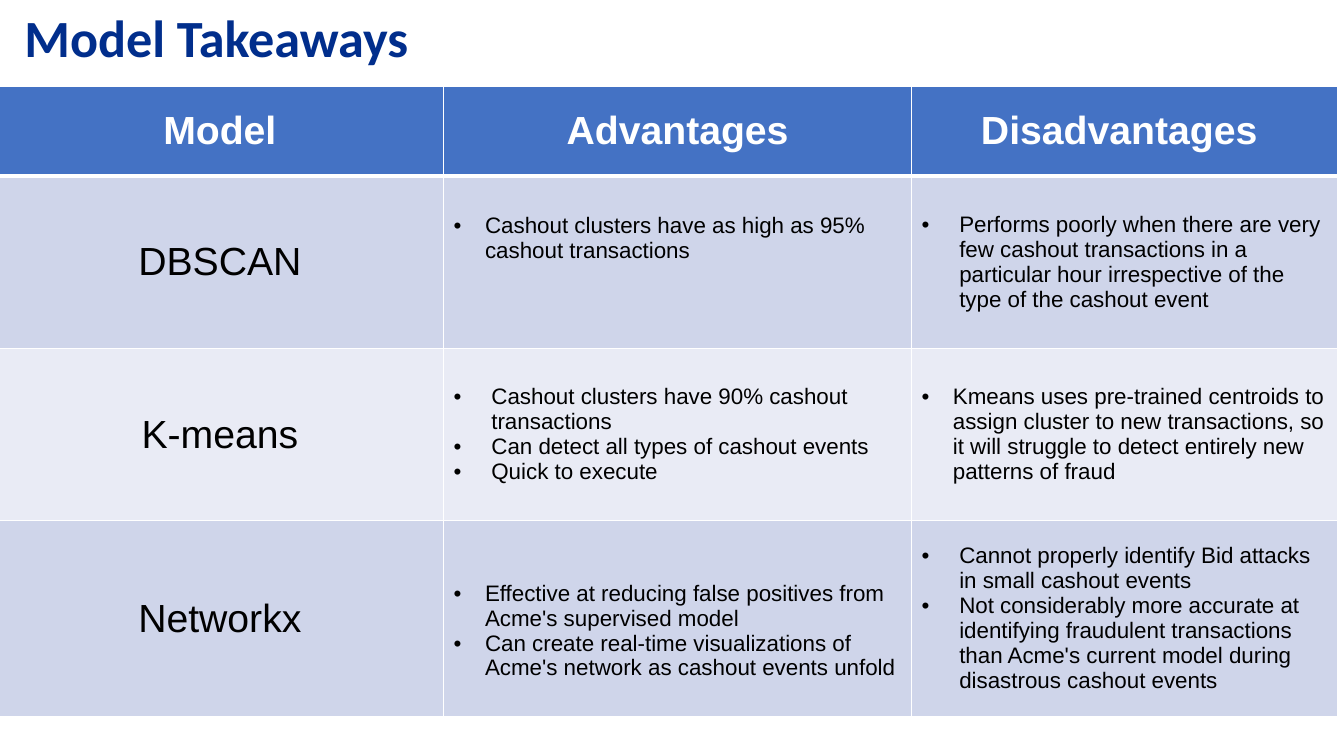
from dataclasses import dataclass

import pptx
import pptx.dml.color
import pptx.enum.text
import pptx.oxml
import pptx.oxml.ns
import pptx.util
from pptx.util import Cm

ALIGN = pptx.enum.text.PP_ALIGN
ANCHOR = pptx.enum.text.MSO_ANCHOR


@dataclass(frozen=True)
class Theme:
    title_font: str = "Calibri"
    body_font: str = "Arial"
    title_color: str = "012E8C"
    header_fill: str = "4472C4"
    row_fills: tuple = ("CFD5EA", "E9EBF5")
    white: str = "FFFFFF"
    text_color: str = "000000"
    title_size: float = 37.3
    heading_size: float = 28
    bullet_size: float = 16


@dataclass
class Points:
    """Bulleted cell content; margins shift it from the vertical middle."""
    lines: list
    indent: float
    top: float = 0.13
    bottom: float = 0.13


HEADINGS = ["Model", "Advantages", "Disadvantages "]
NARROW, WIDE = 0.79, 0.95
MODELS = [
    ("DBSCAN",
     Points(["Cashout clusters have as high as 95% cashout transactions"],
            NARROW, bottom=1.34),
     Points(["Performs poorly when there are very few cashout transactions in a "
             "particular hour irrespective of the type of the cashout event"], WIDE)),
    ("K-means",
     Points(["Cashout clusters have 90% cashout transactions",
             "Can detect all types of cashout events",
             "Quick to execute"], WIDE),
     Points(["Kmeans uses pre-trained centroids to assign cluster to new "
             "transactions, so it will struggle to detect entirely new patterns "
             "of fraud"], NARROW)),
    ("Networkx",
     Points(["Effective at reducing false positives from Acme's supervised model",
             "Can create real-time visualizations of Acme's network as cashout "
             "events unfold"], NARROW, top=0.76),
     Points(["Cannot properly identify Bid attacks in small cashout events",
             "Not considerably more accurate at identifying fraudulent "
             "transactions than Acme's current model during disastrous cashout "
             "events"], WIDE)),
]
COLUMN_WIDTHS = [11.28, 11.79, 10.74]
ROW_HEIGHTS = [2.26, 4.34, 4.34, 4.93]


def rgb(color):
    return pptx.dml.color.RGBColor.from_string(color)


def write(paragraph, text, *, font, size, color, bold=False, align=ALIGN.LEFT):
    paragraph.alignment = align
    run = paragraph.add_run()
    run.text = text
    run.font.name = font
    run.font.size = pptx.util.Pt(size)
    run.font.bold = bold
    run.font.color.rgb = rgb(color)


def add_bullet(paragraph, indent, color):
    properties = paragraph._p.get_or_add_pPr()
    properties.set("marL", str(Cm(indent)))
    properties.set("indent", str(-Cm(indent)))
    ns = pptx.oxml.ns.nsdecls("a")
    for xml in (f'<a:buClr {ns}><a:srgbClr val="{color}"/></a:buClr>',
                f'<a:buFont {ns} typeface="Arial"/>',
                f'<a:buChar {ns} char="•"/>'):
        properties.append(pptx.oxml.parse_xml(xml))


def add_borders(cell, color, **widths):
    """Draw cell edges; widths are points keyed L, R, T, B in that order."""
    properties = cell._tc.get_or_add_tcPr()
    for side, width in widths.items():
        properties.append(pptx.oxml.parse_xml(
            f'<a:ln{side} {pptx.oxml.ns.nsdecls("a")} w="{pptx.util.Pt(width)}">'
            f'<a:solidFill><a:srgbClr val="{color}"/></a:solidFill></a:ln{side}>'))


class SlideBuilder:
    def __init__(self, presentation, theme):
        self.theme = theme
        self.slide = presentation.slides.add_slide(presentation.slide_layouts[5])

    def title(self, text, left, top, width, height):
        heading = self.slide.shapes.title
        heading.left, heading.top = Cm(left), Cm(top)
        heading.width, heading.height = Cm(width), Cm(height)
        frame = heading.text_frame
        frame.word_wrap = True
        frame.auto_size = pptx.enum.text.MSO_AUTO_SIZE.SHAPE_TO_FIT_TEXT
        frame.vertical_anchor = ANCHOR.TOP
        write(frame.paragraphs[0], text, font=self.theme.title_font,
              size=self.theme.title_size, color=self.theme.title_color, bold=True)

    def table(self, headings, rows, left, top, widths, heights):
        grid = self.slide.shapes.add_table(
            len(heights), len(widths), Cm(left), Cm(top),
            Cm(sum(widths)), Cm(sum(heights))).table
        for column, width in zip(grid.columns, widths):
            column.width = Cm(width)
        for row, height in zip(grid.rows, heights):
            row.height = Cm(height)
        for row_index, contents in enumerate([headings, *rows]):
            for column_index, content in enumerate(contents):
                self.cell(grid.cell(row_index, column_index), content, row_index)

    def cell(self, cell, content, row_index):
        theme = self.theme
        is_header = row_index == 0
        add_borders(cell, theme.white, L=1, R=1, T=3 if row_index == 1 else 1,
                    B=3 if is_header else 1)
        cell.fill.solid()
        cell.fill.fore_color.rgb = rgb(
            theme.header_fill if is_header else theme.row_fills[(row_index - 1) % 2])
        cell.vertical_anchor = ANCHOR.MIDDLE
        if isinstance(content, Points):
            self.points(cell, content)
        else:
            write(cell.text_frame.paragraphs[0], content, font=theme.body_font,
                  size=theme.heading_size, bold=is_header, align=ALIGN.CENTER,
                  color=theme.white if is_header else theme.text_color)

    def points(self, cell, points):
        theme = self.theme
        cell.margin_top, cell.margin_bottom = Cm(points.top), Cm(points.bottom)
        frame = cell.text_frame
        for index, line in enumerate(points.lines):
            paragraph = frame.add_paragraph() if index else frame.paragraphs[0]
            add_bullet(paragraph, points.indent, theme.text_color)
            write(paragraph, line, font=theme.body_font, size=theme.bullet_size,
                  color=theme.text_color)


def main():
    presentation = pptx.Presentation()
    presentation.slide_width, presentation.slide_height = Cm(33.87), Cm(19.05)
    builder = SlideBuilder(presentation, Theme())
    builder.title("Model Takeaways", 0.36, 0, 30.99, 1.85)
    builder.table(HEADINGS, MODELS, -0.1, 2.18, COLUMN_WIDTHS, ROW_HEIGHTS)
    presentation.save("out.pptx")


if __name__ == "__main__":
    main()
